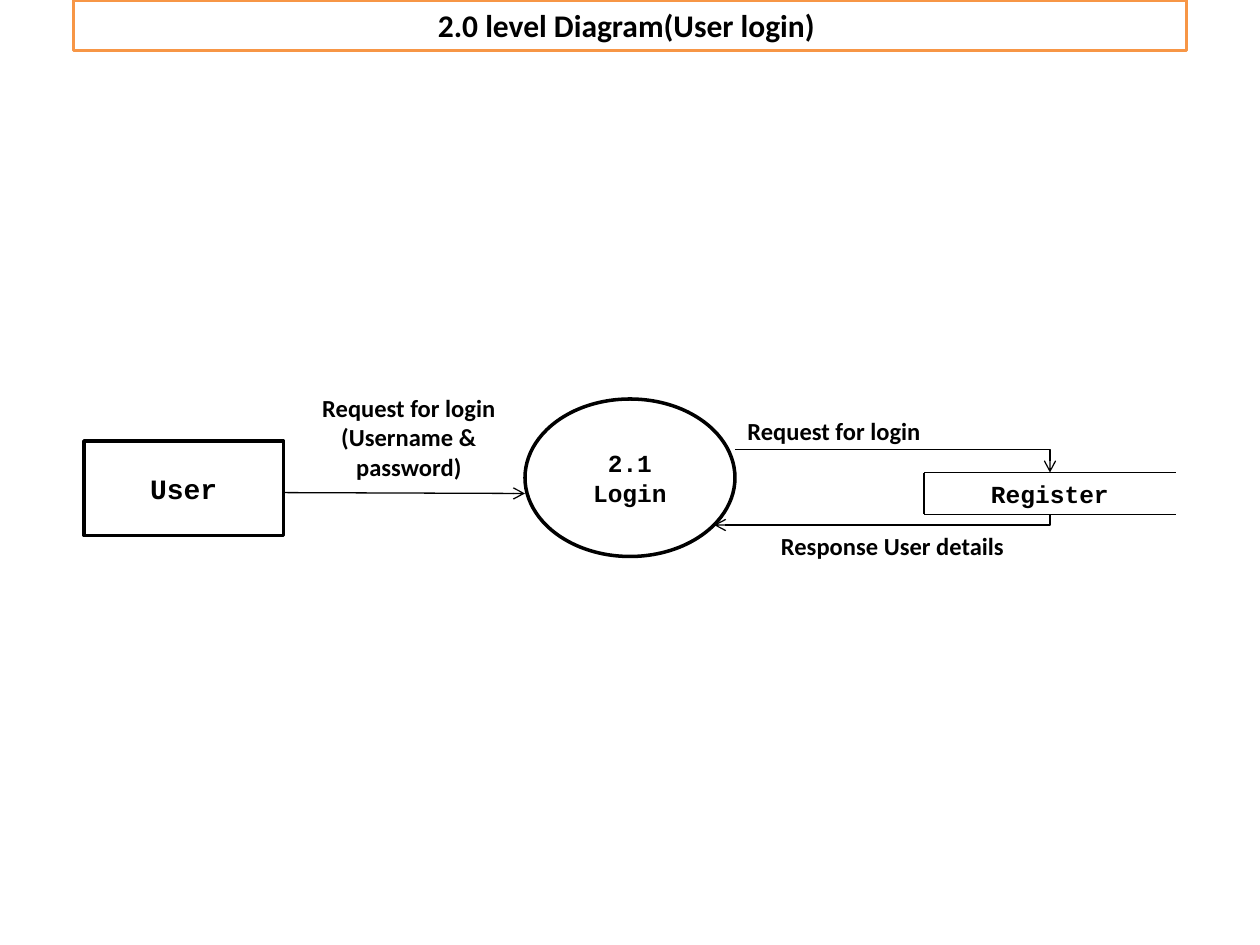
from lxml import etree
from pptx import Presentation
from pptx.dml.color import RGBColor
from pptx.enum.shapes import MSO_CONNECTOR, MSO_SHAPE
from pptx.enum.text import MSO_ANCHOR, MSO_AUTO_SIZE, PP_ALIGN
from pptx.oxml.ns import qn
from pptx.util import Pt

COLORS = {"ink": "000000", "paper": "FFFFFF", "accent": "F79646"}
RGB = {role: RGBColor.from_string(value) for role, value in COLORS.items()}


def write(shape, lines, font_name, size, align=PP_ALIGN.CENTER, wrap=True, anchor=MSO_ANCHOR.TOP):
    frame = shape.text_frame
    frame.text = "\n".join(lines)
    frame_format = {"auto_size": MSO_AUTO_SIZE.NONE, "word_wrap": wrap, "vertical_anchor": anchor}
    for attribute, value in frame_format.items():
        setattr(frame, attribute, value)
    for paragraph in frame.paragraphs:
        paragraph.alignment = align
        for attribute, value in {"name": font_name, "size": Pt(size), "bold": True}.items():
            setattr(paragraph.font, attribute, value)
        paragraph.font.color.rgb = RGB["ink"]


def connect(x1, y1, x2, y2, arrow=False, bent=False, rotation=0):
    kind = MSO_CONNECTOR.ELBOW if bent else MSO_CONNECTOR.STRAIGHT
    connector = slide.shapes.add_connector(kind, Pt(x1), Pt(y1), Pt(x2), Pt(y2))
    connector.line.color.rgb = RGB["ink"]
    connector.line.width = Pt(0.75)
    properties = connector._element.spPr
    if bent:
        properties.find(qn("a:prstGeom")).set("prst", "bentConnector2")
    if rotation:
        properties.find(qn("a:xfrm")).set("rot", str(rotation * 60000))
    if arrow:
        etree.SubElement(properties.find(qn("a:ln")), qn("a:tailEnd")).set("type", "arrow")
    etree.SubElement(properties, qn("a:effectLst"))


presentation = Presentation()
presentation.slide_width, presentation.slide_height = Pt(720), Pt(540)
slide = presentation.slides.add_slide(presentation.slide_layouts[5])

heading = slide.shapes.title
for attribute, value in {"left": 42, "top": 0, "width": 636, "height": 29}.items():
    setattr(heading, attribute, Pt(value))
heading.line.color.rgb = RGB["accent"]
heading.line.width = Pt(2)
write(heading, ["2.0 level Diagram(User login) "], "Calibri", 18, anchor=MSO_ANCHOR.MIDDLE)

nodes = [
    (MSO_SHAPE.OVAL, (300, 228, 120, 90), ["2.1", "Login"], 14),
    (MSO_SHAPE.FLOWCHART_PROCESS, (48, 252, 114, 54), ["User"], 16),
]
for geometry, box, lines, size in nodes:
    node = slide.shapes.add_shape(geometry, *map(Pt, box))
    node.shadow.inherit = False
    node.fill.solid()
    node.fill.fore_color.rgb = RGB["paper"]
    node.line.color.rgb = RGB["ink"]
    node.line.width = Pt(2)
    write(node, lines, "Courier New", size, wrap=False, anchor=MSO_ANCHOR.MIDDLE)

store_left, store_right, store_top, store_bottom = 528, 672, 270, 294
for y in (store_top, store_bottom):
    connect(store_left, y, store_right, y)
connect(store_left, store_top, store_left, store_bottom)

connect(162, 281.5, 300, 282, arrow=True)
connect(420, 257, 600, store_top, arrow=True, bent=True)
connect(501, 201, 507, 393, arrow=True, bent=True, rotation=90)

labels = [
    ((store_left, store_top, 144, 24.25), ["Register"], "Courier New", PP_ALIGN.CENTER),
    ((162, 221, 143.25, 58.25), ["Request for login", "(Username & password)"], "Calibri", PP_ALIGN.CENTER),
    ((420, 234, 156, 24.25), ["Request for login"], "Calibri", PP_ALIGN.LEFT),
    ((432, 300, 156, 24.25), ["Response User details"], "Calibri", PP_ALIGN.CENTER),
]
for box, lines, font_name, align in labels:
    label = slide.shapes.add_textbox(*map(Pt, box))
    write(label, lines, font_name, 14, align)

presentation.save("out.pptx")
